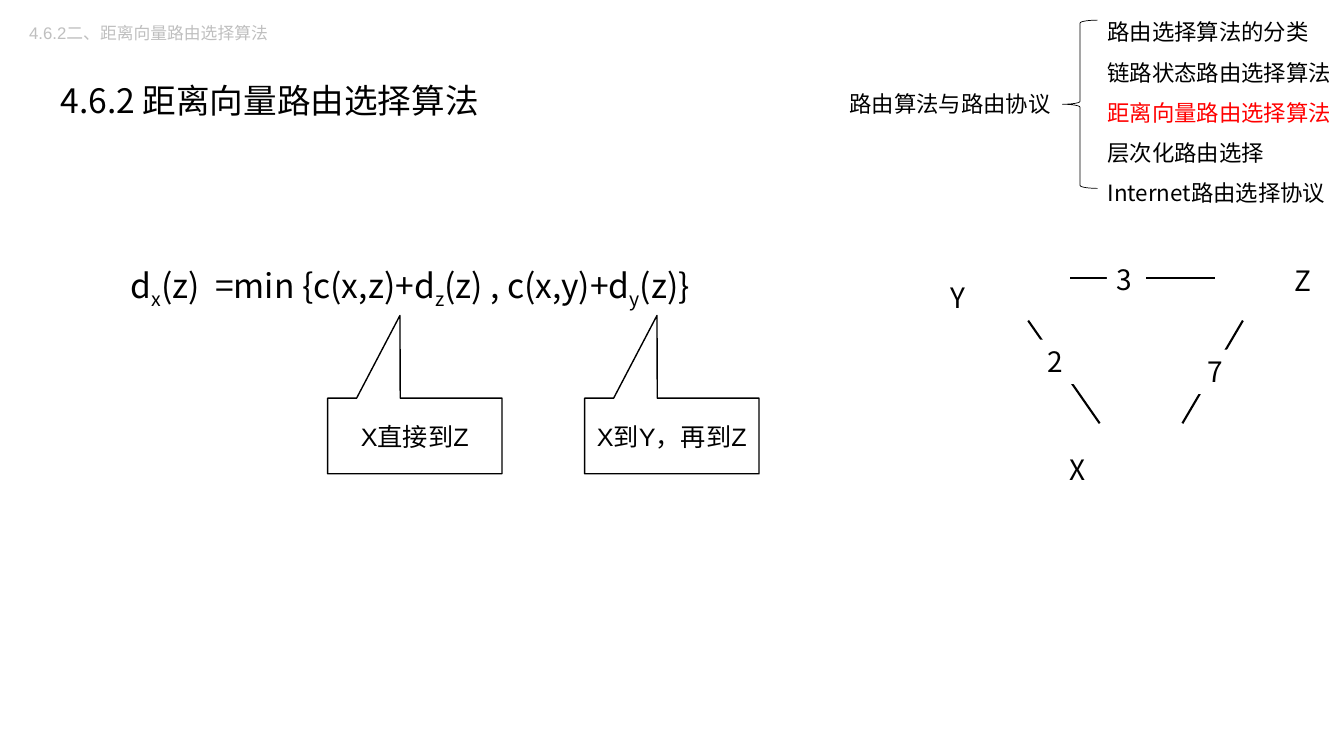
from lxml import etree
from pptx import Presentation
from pptx.dml.color import RGBColor
from pptx.enum.shapes import MSO_CONNECTOR, MSO_SHAPE
from pptx.enum.text import MSO_ANCHOR, MSO_AUTO_SIZE, PP_ALIGN
from pptx.oxml.ns import qn
from pptx.util import Pt

COLORS = {"ink": "000000", "current": "FF0000", "header": "BFBFBF", "paper": "FFFFFF"}
CJK, LATIN = "Noto Sans CJK SC", "Arial"
STRAIGHT = MSO_CONNECTOR.STRAIGHT
CALLOUT, BRACE = MSO_SHAPE.RECTANGULAR_CALLOUT, MSO_SHAPE.LEFT_BRACE
LEFT, CENTER = PP_ALIGN.LEFT, PP_ALIGN.CENTER
TOP, MIDDLE = MSO_ANCHOR.TOP, MSO_ANCHOR.MIDDLE
NO_FIT = MSO_AUTO_SIZE.NONE

FORMULA = [
    ("d", {}), ("x", {"baseline": -25000}), ("(z)", {}), (" ", {"spc": 530}),
    ("=min {c(x,z)+d", {}), ("z", {"baseline": -25000}),
    ("(z) , c(x,y)+d", {}), ("y", {"baseline": -25000}), ("(z)}", {}),
]
TOPICS = ["路由选择算法的分类", "链路状态路由选择算法", "距离向量路由选择算法",
          "层次化路由选择", "Internet路由选择协议"]
CURRENT_TOPIC = TOPICS[2]
NODES = [("X", 756.7, 319.7), ("Y", 671.8, 196.6), ("Z", 917.3, 185)]
EDGES = [(764.6, 198.7, 867.6, 198.7), (734.4, 229, 785.5, 302.4), (887.8, 229, 844.6, 302.4)]
WEIGHTS = [("7", 855.4, 249.8), ("3", 790.6, 184.3), ("2", 740.9, 242.6)]
CALLOUTS = [("X直接到Z", 234), ("X到Y，再到Z", 417.6)]
LABEL_SIZE = (28, 31.7)


def rgb(color):
    """Return the named colour."""
    return RGBColor.from_string(COLORS[color])


def write(frame, paragraphs, size=16, font=CJK, color="ink", align=LEFT,
          anchor=TOP, spacing=1.0, wrap=True):
    """Fill a text frame with paragraphs, each a list of (text, run attributes)."""
    frame.auto_size, frame.word_wrap, frame.vertical_anchor = NO_FIT, wrap, anchor
    for index, runs in enumerate(paragraphs):
        paragraph = frame.add_paragraph() if index else frame.paragraphs[0]
        paragraph.alignment, paragraph.line_spacing = align, spacing
        for text, attributes in runs:
            run = paragraph.add_run()
            run.text = text
            run.font.size, run.font.name = Pt(size), font
            run.font.color.rgb = rgb(CURRENT_COLOR.get(text, color))
            properties = run.font._element
            etree.SubElement(properties, qn("a:ea")).set("typeface", CJK)
            for name, value in attributes.items():
                properties.set(name, str(value))


CURRENT_COLOR = {CURRENT_TOPIC: "current"}


def add_text(slide, box, paragraphs, fill=None, **text_format):
    """Add a text box, with a fill if one is named."""
    textbox = slide.shapes.add_textbox(*map(Pt, box))
    if fill:
        textbox.fill.solid()
        textbox.fill.fore_color.rgb = rgb(fill)
    write(textbox.text_frame, paragraphs, **text_format)


def add_outline(slide, preset, box, width, fill=None):
    """Add an outlined preset shape without shadow."""
    shape = slide.shapes.add_shape(preset, *map(Pt, box))
    shape.shadow.inherit = False
    shape.line.color.rgb, shape.line.width = rgb("ink"), Pt(width)
    if fill:
        shape.fill.solid()
        shape.fill.fore_color.rgb = rgb(fill)
    else:
        shape.fill.background()
    return shape


def add_callout(slide, text, left):
    """Add a callout pointing up at a term of the formula."""
    callout = add_outline(slide, CALLOUT, (left, 284.4, 124.6, 54), 1, fill="paper")
    callout.adjustments[0], callout.adjustments[1] = -0.085, -1.594
    write(callout.text_frame, [[(text, {})]], size=18, font=LATIN,
          align=CENTER, anchor=MIDDLE)


def add_edge(slide, ends):
    """Add a link of the network graph."""
    edge = slide.shapes.add_connector(STRAIGHT, *map(Pt, ends))
    edge.line.color.rgb, edge.line.width = rgb("ink"), Pt(1.5)
    etree.SubElement(edge._element.spPr, qn("a:effectLst"))


def set_title(slide, text):
    """Place and format the title placeholder."""
    title = slide.shapes.title
    title.left, title.top, title.width, title.height = map(Pt, (34.6, 26.6, 486, 74.9))
    frame = title.text_frame
    frame.margin_left = frame.margin_right = Pt(8.64)
    frame.margin_top = frame.margin_bottom = Pt(4.32)
    write(frame, [[(text, {})]], size=24, anchor=MIDDLE, spacing=1.5)


def main():
    """Build and save the slide."""
    deck = Presentation()
    deck.slide_width, deck.slide_height = Pt(960), Pt(540)
    slide = deck.slides.add_slide(deck.slide_layouts[5])
    set_title(slide, "4.6.2 距离向量路由选择算法")

    add_text(slide, (86.4, 169.2, 787.7, 51.1), [FORMULA], size=24, spacing=1.5)
    for text, left in CALLOUTS:
        add_callout(slide, text, left)

    for ends in EDGES:
        add_edge(slide, ends)
    for labels, fill in ((NODES, None), (WEIGHTS, "paper")):
        for text, left, top in labels:
            add_text(slide, (left, top, *LABEL_SIZE), [[(text, {})]], fill=fill, size=20)

    add_outline(slide, BRACE, (758.9, 14.4, 25.2, 120.2), 0.5)
    add_text(slide, (599.8, 61.2, 159.8, 26.6), [[("路由算法与路由协议", {})]], wrap=False)
    add_text(slide, (784.1, 0, 176.4, 152.6), [[(topic, {})] for topic in TOPICS],
             spacing=1.5, wrap=False)
    add_text(slide, (13.7, 13, 186.5, 21.6), [[("4.6.2二、距离向量路由选择算法", {})]],
             size=12, font=LATIN, color="header")
    deck.save("out.pptx")


if __name__ == "__main__":
    main()
